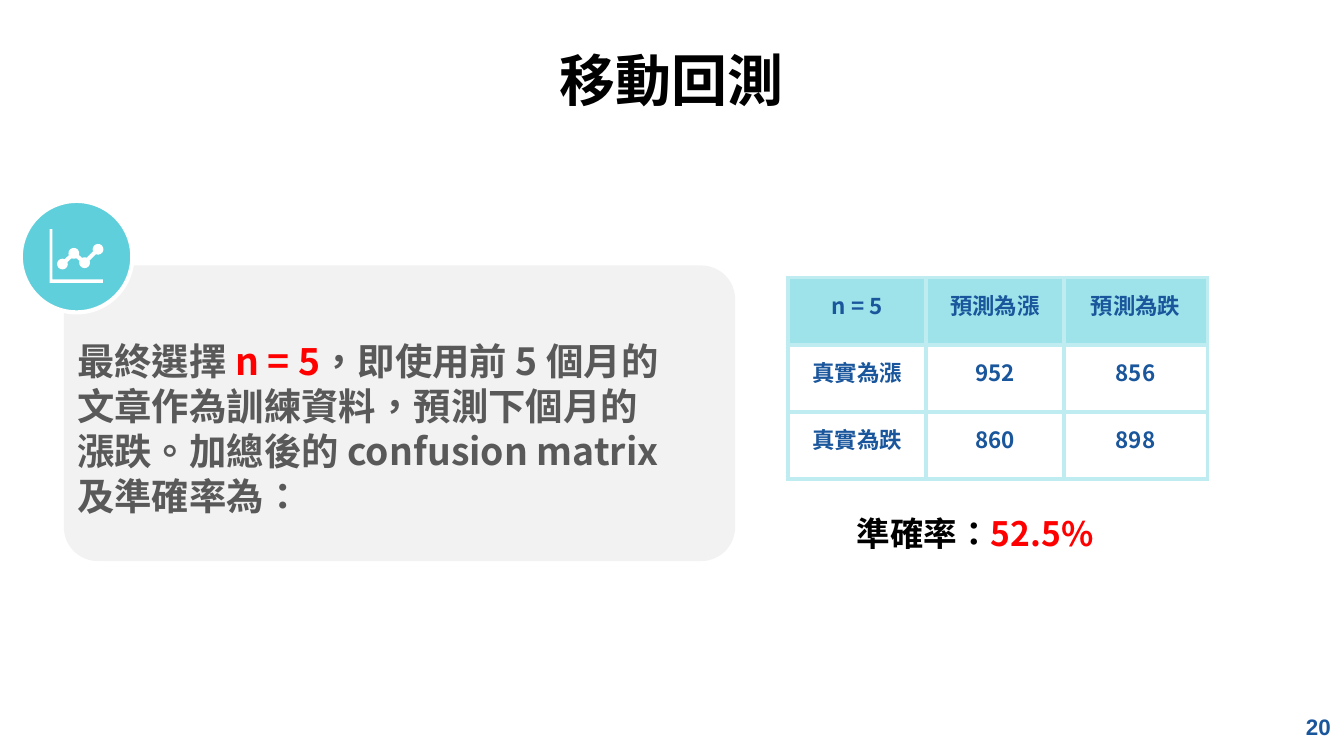
from math import asin, atan2, cos, sin, tau

from lxml.etree import SubElement
from pptx import Presentation
from pptx.dml.color import RGBColor
from pptx.enum.lang import MSO_LANGUAGE_ID
from pptx.enum.shapes import MSO_SHAPE
from pptx.enum.text import MSO_ANCHOR, PP_ALIGN
from pptx.oxml.ns import qn
from pptx.util import Pt

PX = 4572
WIDE, HIGH = 2000, 1125
SANS = "Noto Sans CJK TC"

BLACK = RGBColor(0x00, 0x00, 0x00)
WHITE = RGBColor(0xFF, 0xFF, 0xFF)
GRAY = RGBColor(0x59, 0x59, 0x59)
PALE = RGBColor(0xF2, 0xF2, 0xF2)
RED = RGBColor(0xFF, 0x00, 0x00)
NAVY = RGBColor(0x1A, 0x56, 0x9C)
TEAL = RGBColor(0x5F, 0xD0, 0xDB)
AQUA = RGBColor(0x9D, 0xE3, 0xE9)
EDGE = RGBColor(0xBE, 0xEC, 0xF0)


def emu(*nums):
    return [round(n * PX) for n in nums]


def style(para, size, color, align, face=SANS):
    para.alignment = align
    font = para.font
    font.name, font.size, font.bold = face, Pt(size), True
    font.color.rgb = color
    font.language_id = MSO_LANGUAGE_ID.TRADITIONAL_CHINESE
    props = para._p.pPr.find(qn("a:defRPr"))
    SubElement(props, qn("a:ea"), typeface=SANS)


def add_text(slide, box, parts, size, color, align=PP_ALIGN.CENTER, face=SANS):
    frame = slide.shapes.add_textbox(*emu(*box)).text_frame
    frame.word_wrap = True
    frame.vertical_anchor = MSO_ANCHOR.MIDDLE
    frame.margin_left = frame.margin_right = 20 * PX
    frame.margin_top = frame.margin_bottom = 20 * PX
    para = frame.paragraphs[0]
    style(para, size, color, align, face)
    for text, tint in parts:
        run = para.add_run()
        run.text = text
        run.font.language_id = MSO_LANGUAGE_ID.TRADITIONAL_CHINESE
        if tint:
            run.font.color.rgb = tint
    return para


def paint(shape, color):
    shape.shadow.inherit = False
    shape.fill.solid()
    shape.fill.fore_color.rgb = color
    shape.line.fill.background()


def add_path(slide, points):
    spots = [emu(*p) for p in points]
    pen = slide.shapes.build_freeform(*spots[0])
    pen.add_line_segments(spots[1:], close=True)
    paint(pen.convert_to_shape(), WHITE)


def trace(dots, radius, half):
    gap = asin(half / radius)
    walk = dots + dots[-2:0:-1]
    points = []
    for i, (x, y) in enumerate(walk):
        back, ahead = walk[i - 1], walk[(i + 1) % len(walk)]
        start = atan2(back[1] - y, back[0] - x)
        end = atan2(ahead[1] - y, ahead[0] - x)
        sweep = ((end - start) % tau or tau) - 2 * gap
        for k in range(13):
            turn = start + gap + sweep * k / 12
            points.append((x + radius * cos(turn), y + radius * sin(turn)))
    return points


def add_badge(slide, box):
    left, top, _, _ = box
    disc = slide.shapes.add_shape(MSO_SHAPE.OVAL, *emu(*box))
    paint(disc, TEAL)
    disc.line.color.rgb = WHITE
    disc.line.width = Pt(2.25)
    axes = [(43, 42), (47, 42), (47, 117), (122, 117), (122, 122), (43, 122)]
    dots = [(62, 94), (79, 78), (95, 92), (115, 72)]
    for points in (axes, trace(dots, 8, 3)):
        add_path(slide, [(left + x, top + y) for x, y in points])


def add_panel(slide, box):
    left, top, wide, high = box
    card = slide.shapes.add_shape(MSO_SHAPE.ROUNDED_RECTANGLE, *emu(*box))
    card.adjustments[0] = 0.115
    paint(card, PALE)
    parts = [
        ("最終選擇 ", None),
        ("n = 5", RED),
        ("，即使用前 5 個月的文章作為訓練資料，預測下個月的漲跌。"
         "加總後的 confusion matrix 及準確率為：", None),
    ]
    area = (left, top + 144, wide - 78, 196)
    para = add_text(slide, area, parts, 20, GRAY, PP_ALIGN.LEFT)
    para.line_spacing = Pt(24)
    add_badge(slide, (left - 64, top - 96, 166, 166))


def add_edges(cell):
    props = cell._tc.get_or_add_tcPr()
    for side in ("lnL", "lnR", "lnT", "lnB"):
        line = SubElement(props, qn(f"a:{side}"), w=str(Pt(2.25)))
        fill = SubElement(line, qn("a:solidFill"))
        SubElement(fill, qn("a:srgbClr"), val=str(EDGE))


def add_matrix(slide, box):
    rows = [
        ("n = 5", "預測為漲", "預測為跌"),
        ("真實為漲", "952", "856"),
        ("真實為跌", "860", "898"),
    ]
    table = slide.shapes.add_table(3, 3, *emu(*box)).table
    table.first_row = table.horz_banding = False
    for col, wide in zip(table.columns, (205, 205, 214)):
        col.width = wide * PX
    for r, row in enumerate(rows):
        table.rows[r].height = 100 * PX
        for c, text in enumerate(row):
            cell = table.cell(r, c)
            cell.margin_left = cell.margin_right = 16 * PX
            cell.margin_top = cell.margin_bottom = 16 * PX
            add_edges(cell)
            if r == 0:
                cell.fill.solid()
                cell.fill.fore_color.rgb = AQUA
            else:
                cell.fill.background()
            cell.text = text
            style(cell.text_frame.paragraphs[0], 12, NAVY, PP_ALIGN.CENTER)


def add_result(slide, box):
    left, top, wide, _ = box
    add_matrix(slide, (left, top, wide, 300))
    parts = [("準確率：", None), ("52.5%", RED)]
    add_text(slide, (left - 39, top + 345, 634, 70), parts, 18, BLACK)


def main():
    deck = Presentation()
    deck.slide_width, deck.slide_height = emu(WIDE, HIGH)
    slide = deck.slides.add_slide(deck.slide_layouts[6])
    add_panel(slide, (95, 395, 999, 440))
    add_text(slide, (100, 65, 1800, 106), [("移動回測", None)], 30, BLACK,
             face="Arial Narrow")
    add_result(slide, (1173, 413, 624, 415))
    add_text(slide, (1880, 1038, 120, 86), [("20", None)], 12, NAVY,
             PP_ALIGN.RIGHT, "Arial")
    deck.save("out.pptx")


if __name__ == "__main__":
    main()
